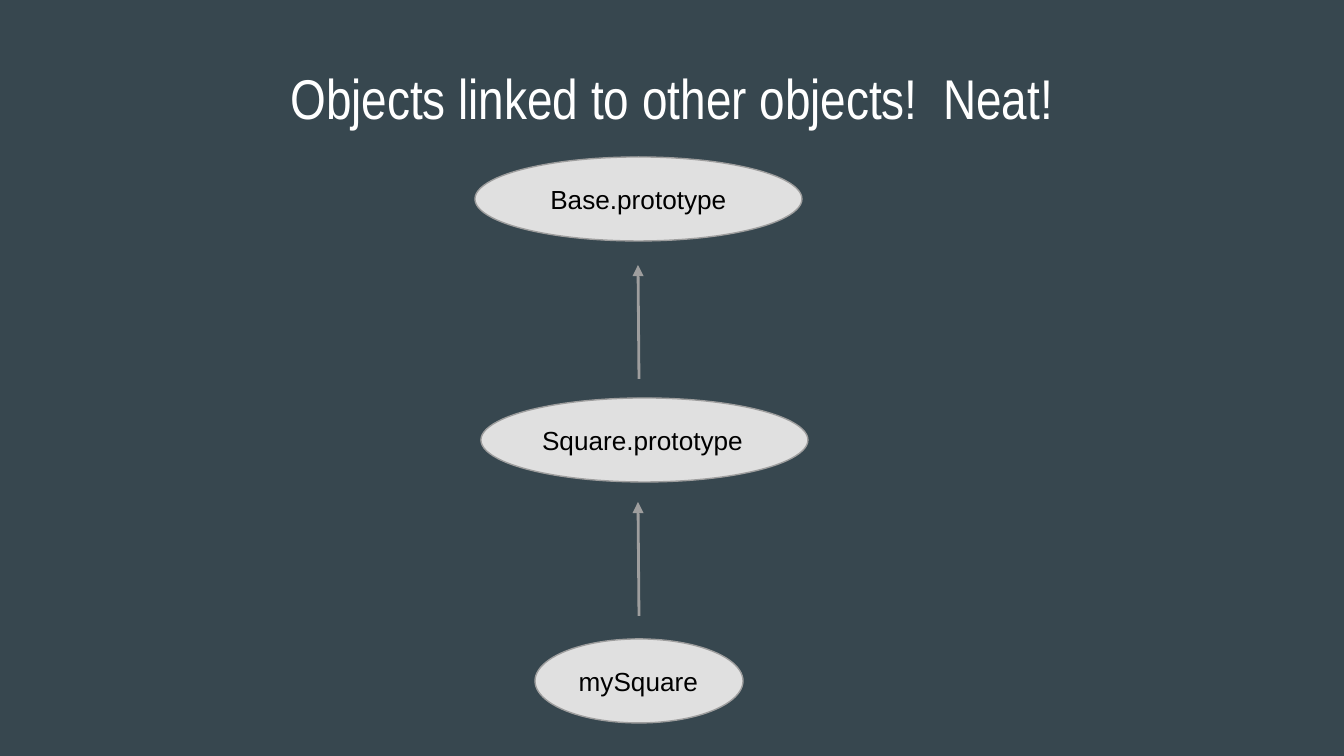
"""Build a slide showing a JavaScript prototype chain."""
from dataclasses import dataclass

import pptx
import pptx.dml.color
import pptx.enum.shapes
import pptx.enum.text
import pptx.oxml
import pptx.oxml.ns
import pptx.util

ALIGN = pptx.enum.text.PP_ALIGN
ANCHOR = pptx.enum.text.MSO_ANCHOR


@dataclass(frozen=True)
class Theme:
    background: str = "37474F"
    title: str = "FFFFFF"
    fill: str = "E0E0E0"
    line: str = "9E9E9E"
    label: str = "000000"
    title_font: str = "Arial Narrow"
    label_font: str = "Arial"
    title_size: float = 30
    label_size: float = 14
    outline_width: float = 0.75
    arrow_width: float = 1.5


def emu(px):
    return pptx.util.Emu(round(px * 914400 / 134.4))


def rgb(value):
    return pptx.dml.color.RGBColor.from_string(value)


class SlideBuilder:
    def __init__(self, presentation, theme):
        self.theme = theme
        self.slide = presentation.slides.add_slide(presentation.slide_layouts[5])
        fill = self.slide.background.fill
        fill.solid()
        fill.fore_color.rgb = rgb(theme.background)

    def set_text(self, shape, text, font, size, color, align, anchor):
        frame = shape.text_frame
        frame.word_wrap = True
        frame.auto_size = pptx.enum.text.MSO_AUTO_SIZE.NONE
        frame.vertical_anchor = anchor
        inset = pptx.util.Inches(0.1)
        frame.margin_left = frame.margin_right = inset
        frame.margin_top = frame.margin_bottom = inset
        paragraph = frame.paragraphs[0]
        paragraph.alignment = align
        run = paragraph.add_run()
        run.text = text
        run.font.name = font
        run.font.size = pptx.util.Pt(size)
        run.font.color.rgb = rgb(color)

    def title(self, text, left, top, width, height):
        shape = self.slide.shapes.title
        shape.left, shape.top = emu(left), emu(top)
        shape.width, shape.height = emu(width), emu(height)
        theme = self.theme
        self.set_text(shape, text, theme.title_font, theme.title_size,
                      theme.title, ALIGN.CENTER, ANCHOR.TOP)

    def node(self, text, left, top, width, height, align):
        theme = self.theme
        shape = self.slide.shapes.add_shape(
            pptx.enum.shapes.MSO_SHAPE.OVAL,
            emu(left), emu(top), emu(width), emu(height))
        shape.shadow.inherit = False
        shape.fill.solid()
        shape.fill.fore_color.rgb = rgb(theme.fill)
        shape.line.color.rgb = rgb(theme.line)
        shape.line.width = pptx.util.Pt(theme.outline_width)
        self.set_text(shape, text, theme.label_font, theme.label_size,
                      theme.label, align, ANCHOR.MIDDLE)

    def arrow(self, start_x, start_y, end_x, end_y):
        connector = self.slide.shapes.add_connector(
            pptx.enum.shapes.MSO_CONNECTOR.STRAIGHT,
            emu(start_x), emu(start_y), emu(end_x), emu(end_y))
        connector.line.color.rgb = rgb(self.theme.line)
        connector.line.width = pptx.util.Pt(self.theme.arrow_width)
        properties = connector.element.spPr
        head = pptx.oxml.parse_xml(
            f'<a:tailEnd {pptx.oxml.ns.nsdecls("a")} type="triangle"/>')
        properties.find(pptx.oxml.ns.qn("a:ln")).append(head)
        properties.append(pptx.oxml.parse_xml(
            f'<a:effectLst {pptx.oxml.ns.nsdecls("a")}/>'))


def main():
    presentation = pptx.Presentation()
    presentation.slide_width, presentation.slide_height = emu(1344), emu(756)
    builder = SlideBuilder(presentation, Theme())

    builder.title("Objects linked to other objects!  Neat!", 46, 50, 1252, 84)

    nodes = [
        ("Base.prototype", 475, 327, ALIGN.CENTER),
        ("Square.prototype", 481, 327, ALIGN.JUSTIFY),
        ("mySquare", 535, 208, ALIGN.LEFT),
    ]
    for row, (text, left, width, align) in enumerate(nodes):
        builder.node(text, left, 157 + 241 * row, width, 84, align)

    for bottom in (379, 616):
        builder.arrow(639, bottom, 638, bottom - 114)

    presentation.save("out.pptx")


if __name__ == "__main__":
    main()
